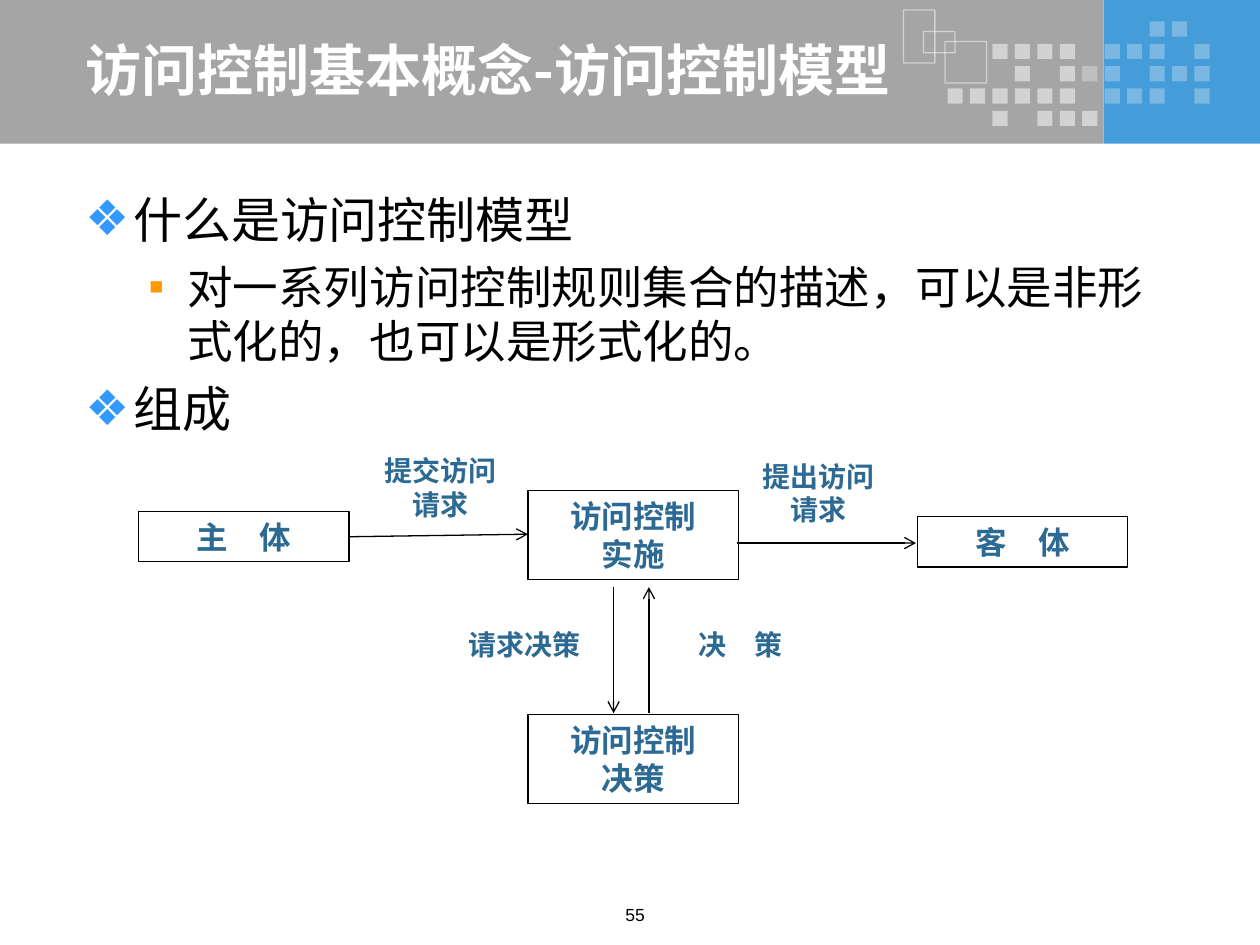
"""Build the access control model slide."""
from dataclasses import dataclass
from typing import Any

from lxml.etree import SubElement
from pptx import Presentation
from pptx.dml.color import RGBColor
from pptx.enum.shapes import MSO_CONNECTOR, MSO_SHAPE
from pptx.enum.text import MSO_ANCHOR, PP_ALIGN
from pptx.oxml.ns import qn
from pptx.util import Inches, Pt

WHITE = RGBColor(0xFF, 0xFF, 0xFF)
BLACK = RGBColor(0x00, 0x00, 0x00)
GREY = RGBColor(0xA5, 0xA5, 0xA5)
BLUE = RGBColor(0x44, 0x9C, 0xD8)
TEXT_BLUE = RGBColor(0x2D, 0x6A, 0x93)
BULLET_BLUE = RGBColor(0x33, 0x99, 0xFF)
BULLET_ORANGE = RGBColor(0xFF, 0x99, 0x00)
CHINESE_FONT = "Noto Sans CJK SC"
LATIN_FONT = "Arial"

MOSAIC = (
    ".........++.",
    "..####.+++.+",
    "...#.#++.+++",
    "######.+++.+",
    "..#.###.....",
)
MOSAIC_OPACITY = {"#": 50, "+": 29}


@dataclass(frozen=True)
class Area:
    left: float
    top: float
    width: float
    height: float

    def lengths(self) -> tuple:
        return tuple(map(Inches, (self.left, self.top, self.width, self.height)))


@dataclass(frozen=True)
class TextStyle:
    size: float
    color: RGBColor
    font: str = LATIN_FONT
    bold: bool = False
    alignment: Any = PP_ALIGN.CENTER
    line_spacing: Any = None


@dataclass(frozen=True)
class Caption:
    area: Area
    lines: tuple


@dataclass(frozen=True)
class Arrow:
    start: tuple
    end: tuple


@dataclass(frozen=True)
class Bullet:
    text: str
    symbol: str
    color: RGBColor
    level: int
    size: int
    left: float
    hanging: float
    line_spacing: int


TITLE_STYLE = TextStyle(32, WHITE, CHINESE_FONT, True, PP_ALIGN.LEFT)
NODE_STYLE = TextStyle(18, TEXT_BLUE, bold=True, line_spacing=Pt(21.7))
LABEL_STYLE = TextStyle(16, TEXT_BLUE, bold=True, line_spacing=Pt(19.4))
NUMBER_STYLE = TextStyle(10, BLACK)

FRAMES = (Area(7.17, 0.08, 0.25, 0.42), Area(7.33, 0.25, 0.25, 0.17), Area(7.5, 0.33, 0.33, 0.33))
BULLETS = (
    Bullet("什么是访问控制模型", "❖", BULLET_BLUE, 0, 28, 0.38, 0.38, 34),
    Bullet("对一系列访问控制规则集合的描述，可以是非形式化的，也可以是形式化的。",
           "▪", BULLET_ORANGE, 1, 26, 0.81, 0.31, 31),
    Bullet("组成", "❖", BULLET_BLUE, 0, 28, 0.38, 0.38, 34),
)
NODES = (
    Caption(Area(1.1, 4.06, 1.67, 0.4), ("主　体",)),
    Caption(Area(7.28, 4.1, 1.67, 0.4), ("客　体",)),
    Caption(Area(4.19, 3.89, 1.67, 0.71), ("访问控制", "实施")),
    Caption(Area(4.19, 5.67, 1.67, 0.71), ("访问控制", "决策")),
)
ARROWS = (
    Arrow((2.77, 4.26), (4.19, 4.24)),
    Arrow((4.87, 4.66), (4.87, 5.66)),
    Arrow((5.85, 4.31), (7.27, 4.31)),
    Arrow((5.15, 5.66), (5.15, 4.66)),
)
LABELS = (
    Caption(Area(2.94, 3.55, 1.11, 0.64), ("提交访问", "请求")),
    Caption(Area(3.61, 4.93, 1.11, 0.37), ("请求决策",)),
    Caption(Area(5.42, 4.93, 0.91, 0.37), ("决　策",)),
    Caption(Area(5.94, 3.59, 1.11, 0.64), ("提出访问", "请求")),
)


def apply_format(target: Any, values: dict) -> None:
    for name, value in values.items():
        setattr(target, name, value)


def add_run(paragraph: Any, text: str, style: TextStyle) -> None:
    apply_format(paragraph, {"alignment": style.alignment, "line_spacing": style.line_spacing})
    run = paragraph.add_run()
    run.text = text
    apply_format(run.font, {"name": style.font, "size": Pt(style.size), "bold": style.bold})
    run.font.color.rgb = style.color
    SubElement(run.font._element, qn("a:ea"), typeface=CHINESE_FONT)


def write_lines(shape: Any, lines: tuple, style: TextStyle, wrap: bool = True) -> None:
    frame = shape.text_frame
    apply_format(frame, {"word_wrap": wrap, "vertical_anchor": MSO_ANCHOR.MIDDLE})
    for index, line in enumerate(lines):
        paragraph = frame.add_paragraph() if index else frame.paragraphs[0]
        add_run(paragraph, line, style)


def add_rectangle(slide: Any, area: Area, fill: Any = None, line: Any = None,
                  opacity: int = 100) -> Any:
    shape = slide.shapes.add_shape(MSO_SHAPE.RECTANGLE, *area.lengths())
    shape.shadow.inherit = False
    for color, paint in ((fill, shape.fill), (line, shape.line.fill)):
        if color is None:
            paint.background()
            continue
        paint.solid()
        paint.fore_color.rgb = color
    if line is not None:
        shape.line.width = Pt(0.75)
    if opacity < 100:
        for color in shape._element.spPr.iter(qn("a:srgbClr")):
            SubElement(color, qn("a:alpha"), val=str(opacity * 1000))
    return shape


def add_text(slide: Any, caption: Caption, style: TextStyle, wrap: bool = True) -> None:
    write_lines(slide.shapes.add_textbox(*caption.area.lengths()), caption.lines, style, wrap)


def add_arrow(slide: Any, arrow: Arrow) -> None:
    points = map(Inches, arrow.start + arrow.end)
    connector = slide.shapes.add_connector(MSO_CONNECTOR.STRAIGHT, *points)
    connector.line.color.rgb = BLACK
    connector.line.width = Pt(0.75)
    SubElement(connector.line._get_or_add_ln(), qn("a:tailEnd"), type="arrow")
    SubElement(connector._element.spPr, qn("a:effectLst"))


def add_bullets(slide: Any, area: Area, bullets: tuple) -> None:
    frame = slide.shapes.add_textbox(*area.lengths()).text_frame
    apply_format(frame, {"word_wrap": True, "margin_top": Inches(0.08)})
    for index, bullet in enumerate(bullets):
        paragraph = frame.add_paragraph() if index else frame.paragraphs[0]
        paragraph.level = bullet.level
        paragraph.space_before = Pt(6 if index else 0)
        style = TextStyle(bullet.size, BLACK, CHINESE_FONT, alignment=PP_ALIGN.LEFT,
                          line_spacing=Pt(bullet.line_spacing))
        add_run(paragraph, bullet.text, style)
        properties = paragraph._p.get_or_add_pPr()
        properties.set("marL", str(Inches(bullet.left)))
        properties.set("indent", str(-Inches(bullet.hanging)))
        color = SubElement(properties, qn("a:buClr"))
        SubElement(color, qn("a:srgbClr"), val=str(bullet.color))
        SubElement(properties, qn("a:buFont"), typeface=LATIN_FONT)
        SubElement(properties, qn("a:buChar"), char=bullet.symbol)


def add_banner(slide: Any) -> None:
    add_rectangle(slide, Area(8.76, 0, 1.24, 1.14), BLUE)
    add_rectangle(slide, Area(0, 0, 8.76, 1.14), GREY)
    for row, cells in enumerate(MOSAIC):
        for column, cell in enumerate(cells):
            if cell in MOSAIC_OPACITY:
                area = Area(7.52 + column * 1.96 / 11, 0.17 + row * 0.71 / 4, 0.12, 0.12)
                add_rectangle(slide, area, WHITE, opacity=MOSAIC_OPACITY[cell])
    for frame in FRAMES:
        add_rectangle(slide, frame, line=WHITE, opacity=50)


def main() -> None:
    presentation = Presentation()
    apply_format(presentation, {"slide_width": Inches(10), "slide_height": Inches(7.5)})
    slide = presentation.slides.add_slide(presentation.slide_layouts[6])
    add_banner(slide)
    add_text(slide, Caption(Area(0.58, 0.28, 7.76, 0.53), ("访问控制基本概念-访问控制模型",)), TITLE_STYLE)
    add_bullets(slide, Area(0.58, 1.42, 8.9, 5.58), BULLETS)
    add_text(slide, Caption(Area(4.58, 7.11, 0.92, 0.29), ("55",)), NUMBER_STYLE)
    for node in NODES:
        write_lines(add_rectangle(slide, node.area, line=BLACK), node.lines, NODE_STYLE)
    for arrow in ARROWS:
        add_arrow(slide, arrow)
    for label in LABELS:
        add_text(slide, label, LABEL_STYLE, wrap=False)
    presentation.save("out.pptx")


if __name__ == "__main__":
    main()
